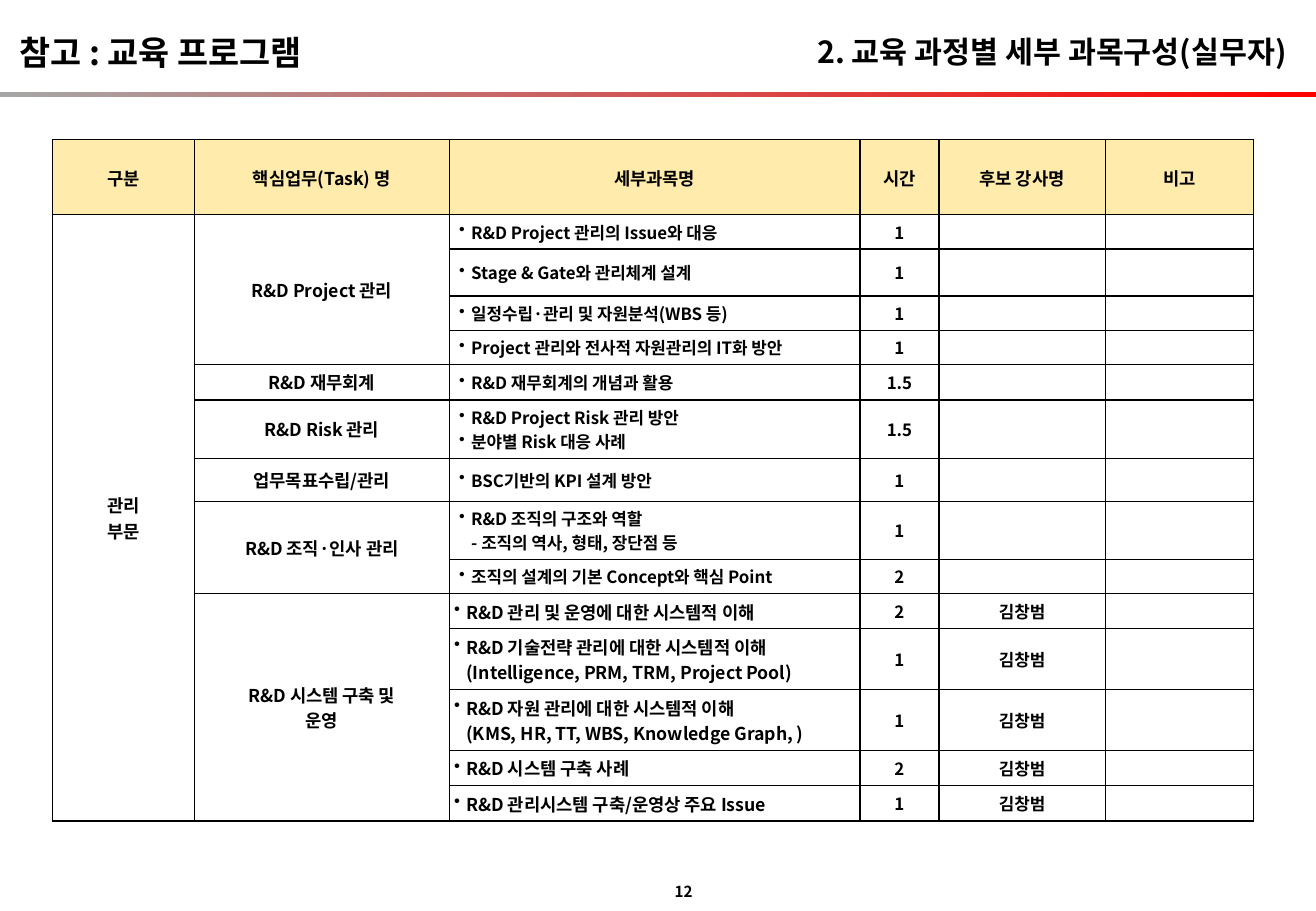
from dataclasses import dataclass

from lxml.etree import SubElement
from pptx import Presentation
from pptx.dml.color import RGBColor
from pptx.enum.shapes import MSO_SHAPE
from pptx.enum.text import MSO_ANCHOR as Anchor, PP_ALIGN as Align
from pptx.oxml import parse_xml
from pptx.oxml.ns import nsdecls, qn
from pptx.slide import Slide
from pptx.table import Table, _Cell as Cell
from pptx.text.text import TextFrame
from pptx.util import Pt


@dataclass(frozen=True)
class Theme:
    font: str = "Noto Sans CJK KR"
    ink: str = "000000"
    header_fill: str = "FFEBAB"
    rule_start: str = "A6A6A6"
    rule_end: str = "FF0000"
    section_size: float = 20
    title_size: float = 18
    label_size: float = 10.5
    body_size: float = 10
    number_size: float = 9
    thin: float = 0.75
    thick: float = 1
    tight: float = 2.88
    loose: float = 5.76
    indent: float = 7.2


@dataclass(frozen=True)
class Label:
    text: str
    left: float
    top: float
    width: float
    height: float
    size: float
    align: Align
    anchor: Anchor
    left_inset: float = 7.2


@dataclass(frozen=True)
class Course:
    subjects: tuple[str, ...]
    hours: str
    height: float
    lecturer: str = ""


@dataclass(frozen=True)
class Task:
    name: tuple[str, ...]
    courses: tuple[Course, ...]
    size: float
    inset: float


THEME = Theme()
BODY = (THEME.body_size, THEME.loose)
SYSTEM = (THEME.label_size, THEME.tight)
LECTURER = "김창범"

LABELS = (
    Label("2. 교육 과정별 세부 과목구성(실무자)", 446.4, 15.84, 323.28, 28.8,
          THEME.title_size, Align.RIGHT, Anchor.MIDDLE),
    Label("12", 397.44, 519.12, 20.16, 18, THEME.number_size,
          Align.RIGHT, Anchor.MIDDLE, left_inset=0),
    Label("참고 : 교육 프로그램", 4.32, 15.12, 202.32, 31.68,
          THEME.section_size, Align.LEFT, Anchor.TOP),
)
HEADERS = ("구분", "핵심업무(Task) 명", "세부과목명", "시간", "후보 강사명", "비고")
COLUMN_WIDTHS = (84.24, 151.2, 243.36, 46.8, 98.64, 87.84)
HEADER_HEIGHT = 44.6
DIVISION = ("관리", "부문")
TASKS = (
    Task(("R&D Project 관리",), (
        Course(("R&D Project 관리의 Issue와 대응",), "1", 20.2),
        Course(("Stage & Gate와 관리체계 설계",), "1", 27.9),
        Course(("일정수립·관리 및 자원분석(WBS 등)",), "1", 20.2),
        Course(("Project 관리와 전사적 자원관리의 IT화 방안",), "1", 20.2),
    ), *BODY),
    Task(("R&D 재무회계",), (
        Course(("R&D 재무회계의 개념과 활용",), "1.5", 21.3),
    ), *BODY),
    Task(("R&D Risk 관리",), (
        Course(("R&D Project Risk 관리 방안", "분야별 Risk 대응 사례"), "1.5", 34.4),
    ), *BODY),
    Task(("업무목표수립/관리",), (
        Course(("BSC기반의 KPI 설계 방안",), "1", 25.5),
    ), *BODY),
    Task(("R&D 조직·인사 관리",), (
        Course(("R&D 조직의 구조와 역할\n- 조직의 역사, 형태, 장단점 등",), "1", 34.4),
        Course(("조직의 설계의 기본 Concept와 핵심 Point",), "2", 20.2),
    ), *BODY),
    Task(("R&D 시스템 구축 및", "운영"), (
        Course(("R&D 관리 및 운영에 대한 시스템적 이해",), "2", 20.9, LECTURER),
        Course(("R&D 기술전략 관리에 대한 시스템적 이해(Intelligence, PRM, TRM, Project Pool)",),
               "1", 36, LECTURER),
        Course(("R&D 자원 관리에 대한 시스템적 이해\n(KMS, HR, TT, WBS, Knowledge Graph, )",),
               "1", 36, LECTURER),
        Course(("R&D 시스템 구축 사례",), "2", 20.9, LECTURER),
        Course(("R&D 관리시스템 구축/운영상 주요 Issue",), "1", 20.9, LECTURER),
    ), *SYSTEM),
)


def write(frame: TextFrame, lines: tuple[str, ...], size: float, align: Align,
          bulleted: bool = False) -> None:
    for index, line in enumerate(lines):
        paragraph = frame.paragraphs[0] if index == 0 else frame.add_paragraph()
        paragraph.text = line
        paragraph.alignment = align
        font = paragraph.font
        font.size, font.bold, font.name = Pt(size), True, THEME.font
        font.color.rgb = RGBColor.from_string(THEME.ink)
        properties = paragraph._p.get_or_add_pPr()
        # Hangul takes the East Asian typeface
        SubElement(properties.find(qn("a:defRPr")), qn("a:ea"), typeface=THEME.font)
        if bulleted:
            properties.set("marL", str(Pt(THEME.indent)))
            properties.set("indent", str(-Pt(THEME.indent)))
            properties.insert(0, parse_xml(f'<a:buChar {nsdecls("a")} char="•"/>'))


def add_label(slide: Slide, label: Label) -> None:
    box = slide.shapes.add_textbox(Pt(label.left), Pt(label.top),
                                   Pt(label.width), Pt(label.height))
    frame = box.text_frame
    frame.word_wrap = False
    frame.vertical_anchor = label.anchor
    frame.margin_left = Pt(label.left_inset)
    write(frame, (label.text,), label.size, label.align)


def add_rule(slide: Slide, width: int) -> None:
    rule = slide.shapes.add_shape(MSO_SHAPE.RECTANGLE, 0, Pt(54.72), width, Pt(2.88))
    rule.shadow.inherit = False
    rule.line.fill.background()
    rule.fill.gradient()
    rule.fill.gradient_angle = 0
    for stop, color, position in zip(rule.fill.gradient_stops,
                                     (THEME.rule_start, THEME.rule_end), (0, 1)):
        stop.color.rgb = RGBColor.from_string(color)
        stop.position = position


def add_borders(cell: Cell, column: int) -> None:
    # The hours and lecturer columns have heavier sides
    left = THEME.thick if column >= 3 else THEME.thin
    right = THEME.thick if 2 <= column <= 4 else THEME.thin
    sides = {"L": left, "R": right, "T": THEME.thin, "B": THEME.thin}
    properties = cell._tc.get_or_add_tcPr()
    for index, (side, width) in enumerate(sides.items()):
        properties.insert(index, parse_xml(
            f'<a:ln{side} {nsdecls("a")} w="{Pt(width)}"><a:solidFill>'
            f'<a:srgbClr val="{THEME.ink}"/></a:solidFill></a:ln{side}>'))


def fill_cell(cell: Cell, lines: tuple[str, ...], size: float, inset: float,
              bulleted: bool = False) -> None:
    cell.vertical_anchor = Anchor.MIDDLE
    cell.margin_left = cell.margin_right = Pt(inset)
    cell.margin_top = cell.margin_bottom = Pt(THEME.tight)
    write(cell.text_frame, lines, size, Align.LEFT if bulleted else Align.CENTER, bulleted)


def add_tasks(table: Table) -> None:
    row = 1
    for task in TASKS:
        name_cell = table.cell(row, 1)
        name_cell.merge(table.cell(row + len(task.courses) - 1, 1))
        fill_cell(name_cell, task.name, THEME.label_size, THEME.tight)
        for course in task.courses:
            table.rows[row].height = Pt(course.height)
            fill_cell(table.cell(row, 2), course.subjects, task.size, task.inset, True)
            for column, text in enumerate((course.hours, course.lecturer, ""), start=3):
                fill_cell(table.cell(row, column), (text,), *BODY)
            row += 1


def add_program(slide: Slide) -> None:
    heights = [HEADER_HEIGHT] + [course.height for task in TASKS for course in task.courses]
    table = slide.shapes.add_table(len(heights), len(HEADERS), Pt(30.96), Pt(82.8),
                                   Pt(sum(COLUMN_WIDTHS)), Pt(sum(heights))).table
    table.first_row = table.horz_banding = False
    table.rows[0].height = Pt(HEADER_HEIGHT)
    for column, (header, width) in enumerate(zip(HEADERS, COLUMN_WIDTHS)):
        table.columns[column].width = Pt(width)
        fill_cell(table.cell(0, column), (header,), THEME.label_size, THEME.tight)
    division = table.cell(1, 0)
    division.merge(table.cell(len(heights) - 1, 0))
    fill_cell(division, DIVISION, THEME.label_size, THEME.tight)
    add_tasks(table)
    # Fills and borders
    for index, cell in enumerate(table.iter_cells()):
        row, column = divmod(index, len(HEADERS))
        if row == 0:
            cell.fill.solid()
            cell.fill.fore_color.rgb = RGBColor.from_string(THEME.header_fill)
        else:
            cell.fill.background()
        add_borders(cell, column)


def main() -> None:
    presentation = Presentation()
    presentation.slide_width, presentation.slide_height = Pt(780), Pt(540)
    slide = presentation.slides.add_slide(presentation.slide_layouts[6])
    add_rule(slide, presentation.slide_width)
    add_program(slide)
    for label in LABELS:
        add_label(slide, label)
    presentation.save("out.pptx")


if __name__ == "__main__":
    main()
